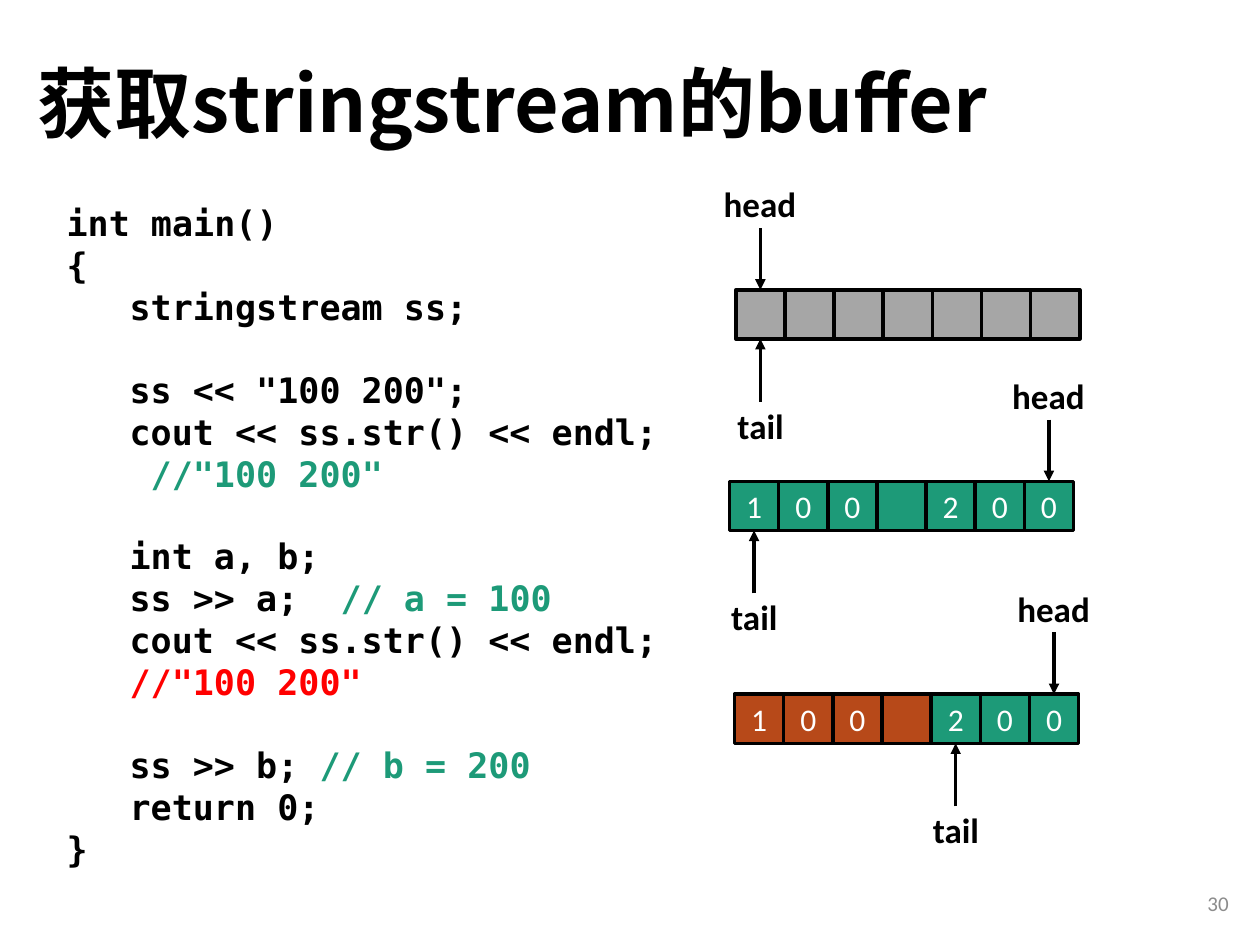
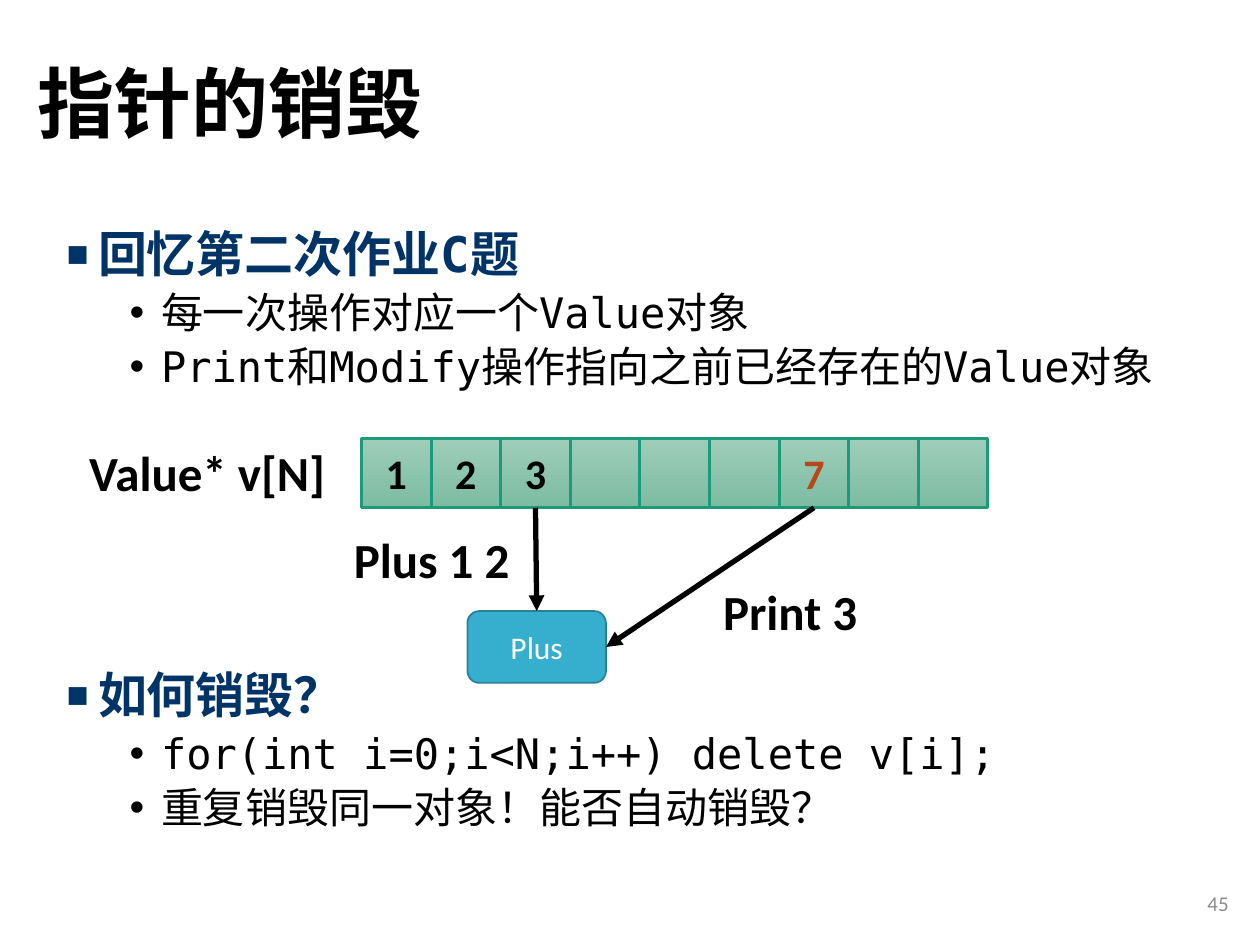
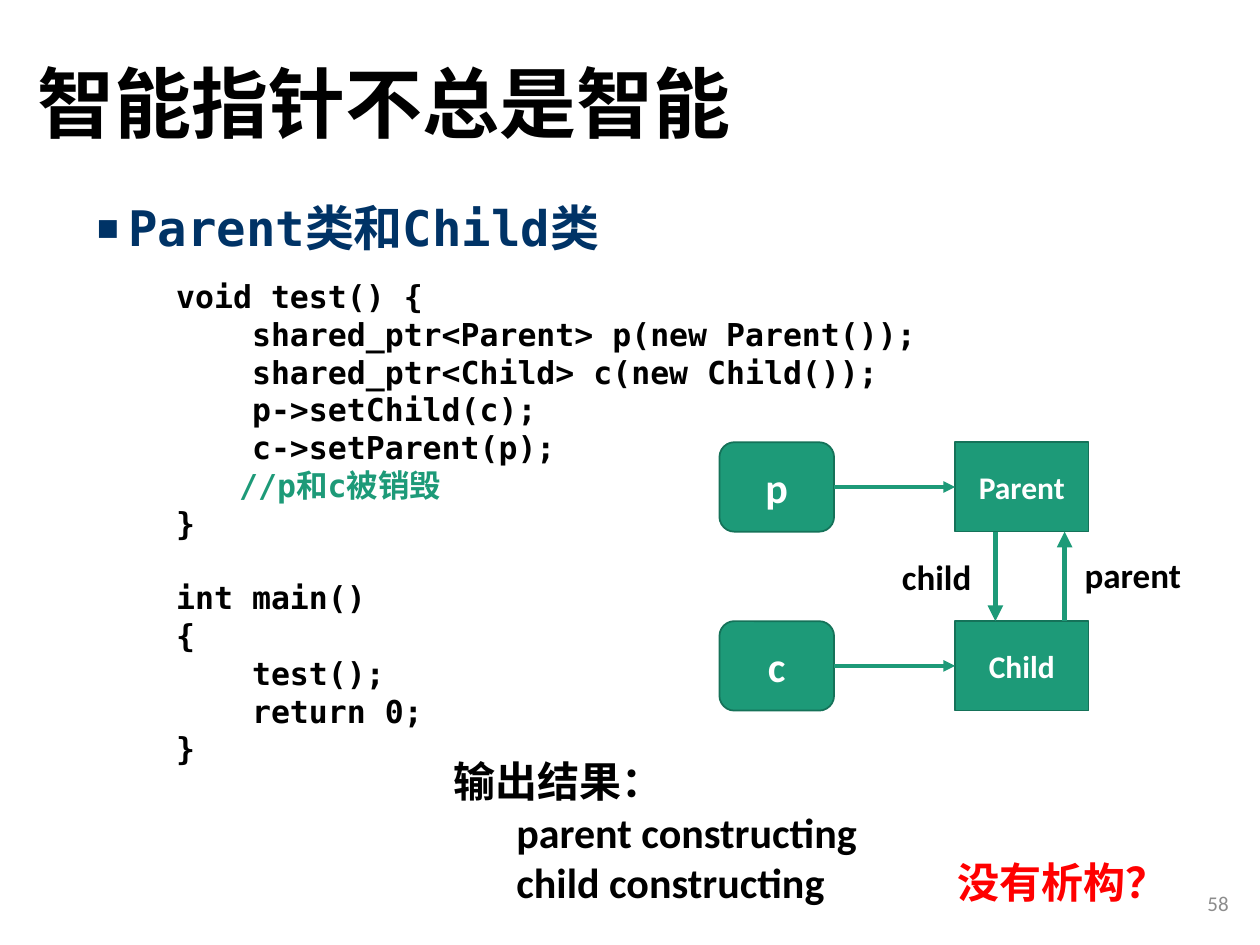
"""Builds three C++ lecture slides on stream buffers and pointers."""
from lxml.etree import SubElement
from pptx import Presentation
from pptx.dml.color import RGBColor
from pptx.enum.lang import MSO_LANGUAGE_ID
from pptx.enum.shapes import MSO_CONNECTOR, MSO_SHAPE
from pptx.enum.text import MSO_ANCHOR, MSO_AUTO_SIZE, PP_ALIGN
from pptx.oxml.ns import qn
from pptx.util import Inches, Pt

RECT, ROUND = MSO_SHAPE.RECTANGLE, MSO_SHAPE.ROUNDED_RECTANGLE
STRAIGHT = MSO_CONNECTOR.STRAIGHT
LEFT, MID, RIGHT = PP_ALIGN.LEFT, PP_ALIGN.CENTER, PP_ALIGN.RIGHT
TOP, CENTER = MSO_ANCHOR.TOP, MSO_ANCHOR.MIDDLE
CHINESE = MSO_LANGUAGE_ID.SIMPLIFIED_CHINESE
NORTH, WEST, SOUTH, EAST = range(4)

HEX = {"black": "000000", "white": "FFFFFF", "gray": "A6A6A6", "page": "8C8C8C",
       "green": "1D9A78", "edge": "157259", "rust": "B74919", "red": "FF0000",
       "navy": "003366", "sky": "36AFCE", "rim": "288198",
       "pale": "9ECDBA", "mint": "7DBCA3"}
SANS, MONO, HAN = "Calibri", "DejaVu Sans Mono", "Noto Sans CJK SC"

STREAM = [
    "int main()", "{", "\tstringstream ss;", "",
    '\tss << "100 200";', "\tcout << ss.str() << endl;",
    ("\t ", '//"100 200"', "green"), "",
    "\tint a, b;", ("\tss >> a;  ", "// a = 100", "green"),
    "\tcout << ss.str() << endl;", ("\t", '//"100 200"', "red"), "",
    ("\tss >> b; ", "// b = 200", "green"), "\treturn 0;", "}"]
BUFFERS = [
    (5.84, 2.3, [""] * 7, ["gray"] * 7, 0, 0),
    (5.79, 3.82, [*"100", "", *"200"], ["green"] * 7, 6, 0),
    (5.83, 5.51, [*"100", "", *"200"], ["rust"] * 4 + ["green"] * 3, 6, 4)]
RECALL = [
    (0, "回忆第二次作业C题", 0),
    (1, "每一次操作对应一个Value对象", 5),
    (1, "Print和Modify操作指向之前已经存在的Value对象", 5),
    (0, "如何销毁？", 160),
    (1, "for(int i=0;i<N;i++) delete v[i];", 5),
    (1, "重复销毁同一对象！能否自动销毁？", 5)]
VALUES = ["1", "2", "3", "", "", "", "7", "", ""]
NOTES = [("Value* v[N]", 0.61, 3.46, 2.1), ("Print 3", 5.64, 4.57, 1.28),
         ("Plus 1 2", 2.71, 4.15, 1.45)]
CYCLE = [
    "void test() {", "    shared_ptr<Parent> p(new Parent());",
    "    shared_ptr<Child> c(new Child());", "    p->setChild(c);",
    "    c->setParent(p);", ("\t", "//p和c被销毁", "green"), "}", "",
    "int main()", "{", "    test();", "    return 0;", "}"]
OUTPUT = ["输出结果：", "\tparent constructing",
          ("\tchild constructing\t", "没有析构？", "red")]
OWNERS = [("p", "Parent", 3.51), ("c", "Child", 4.93)]


def rgb(name):
    return RGBColor.from_string(HEX[name])


def box(at):
    return [Inches(n) for n in at]


def write(shape, lines, size=18, font=SANS, color="black", bold=False, align=LEFT,
          anchor=TOP, wrap=True, tabs=(), space=None, bullet=None):
    """Fills a shape with lines; an empty line becomes space before the next."""
    frame = shape.text_frame
    frame.word_wrap, frame.vertical_anchor = wrap, anchor
    frame.auto_size = MSO_AUTO_SIZE.NONE
    lines = [lines] if isinstance(lines, str) else lines
    for i, line in enumerate(lines):
        if not line:
            continue
        first = not frame.paragraphs[0].runs
        para = frame.paragraphs[0] if first else frame.add_paragraph()
        para.alignment = align
        if space:
            para.line_spacing = space
        if i and not lines[i - 1]:
            para.space_before = Pt(round(size * 1.16, 1))
        props = para._p.get_or_add_pPr()
        if tabs:
            stops = SubElement(props, qn("a:tabLst"))
            for stop in tabs:
                SubElement(stops, qn("a:tab"), pos=str(Inches(stop)), algn="l")
        if bullet:
            bullet(para, props, i)
        text, note, tint = (line, "", color) if isinstance(line, str) else line
        for part, hue in ((text, color), (note, tint)):
            if part:
                style(para, part, size, font, hue, bold)
    return shape


def style(para, text, size, font, color, bold):
    run = para.add_run()
    run.text = text
    face = run.font
    face.size, face.name, face.bold = Pt(size), font, bold
    face.color.rgb, face.language_id = rgb(color), CHINESE


def label(slide, text, *at, **form):
    return write(slide.shapes.add_textbox(*box(at)), text, **form)


def block(slide, kind, at, fill, edge, width, text="", **form):
    shape = slide.shapes.add_shape(kind, *box(at))
    shape.shadow.inherit = False
    if isinstance(fill, tuple):
        shape.fill.gradient()
        shape.fill.gradient_angle = 270
        for stop, name in zip(shape.fill.gradient_stops, fill):
            stop.color.rgb = rgb(name)
    else:
        shape.fill.solid()
        shape.fill.fore_color.rgb = rgb(fill)
    shape.line.color.rgb, shape.line.width = rgb(edge), Pt(width)
    form = {"color": "white", **form}
    return write(shape, text, align=MID, anchor=CENTER, **form)


def arrow(slide, start, end, color="black", width=2):
    """Draws an arrow between points or (shape, side) pairs."""
    ends = [(0, 0) if hasattr(e[0], "text_frame") else e for e in (start, end)]
    line = slide.shapes.add_connector(STRAIGHT, *box(ends[0] + ends[1]))
    for spot, join in ((start, line.begin_connect), (end, line.end_connect)):
        if hasattr(spot[0], "text_frame"):
            join(*spot)
    line.line.color.rgb, line.line.width = rgb(color), Pt(width)
    props = line._element.spPr
    SubElement(props.find(qn("a:ln")), qn("a:tailEnd"), type="triangle")
    SubElement(props, qn("a:effectLst"))


def outline(slide, items, *at):
    """Writes a two-level bulleted list of (level, text, space before)."""
    def mark(para, props, i):
        level, _, gap = items[i]
        para.line_spacing, para.space_before = 0.9, Pt(gap)
        props.set("marL", str(Inches(0.25 + level / 2)))
        props.set("indent", str(-Inches(0.25)))
        if not level:
            SubElement(props, qn("a:buSzPct"), val="75000")
        SubElement(props, qn("a:buFont"), typeface="Arial")
        SubElement(props, qn("a:buChar"), char="•" if level else "■")

    shape = label(slide, [text for _, text, _ in items], *at,
                  size=24, font=MONO, bullet=mark)
    for para, (level, _, _) in zip(shape.text_frame.paragraphs, items):
        if not level:
            face = para.runs[0].font
            face.size, face.bold, face.color.rgb = Pt(28), True, rgb("navy")


def page(deck, title, number):
    slide = deck.slides.add_slide(deck.slide_layouts[5])
    head = slide.shapes.title
    head.left, head.top, head.width, head.height = box((0.2, 0.13, 8.62, 1.45))
    write(head, title, size=44, font=HAN, bold=True, anchor=CENTER, space=0.9)
    label(slide, str(number), 7.6, 6.97, 2.25, 0.4, size=12, color="page",
          align=RIGHT, anchor=CENTER)
    return slide


def stream(deck):
    slide = page(deck, "获取stringstream的buffer", 30)
    label(slide, STREAM, 0.43, 1.55, 7.09, 5.49, size=20, font=MONO, bold=True,
          tabs=[0.5])
    side = 0.39
    for left, top, marks, fills, head, tail in BUFFERS:
        cells = [block(slide, RECT, (left + i * side, top, side, side), fill,
                       "black", 2, mark)
                 for i, (mark, fill) in enumerate(zip(marks, fills))]
        for word, at, spot, shift, wide, reach, edge in (
                ("head", head, -0.9, 0.39, 0.78, -0.49, NORTH),
                ("tail", tail, 0.86, 0.28, 0.57, side + 0.5, SOUTH)):
            x = left + (at + 0.5) * side
            arrow(slide, (x, top + reach), (cells[at], edge))
            label(slide, word, x - shift, top + spot, wide, 0.44, size=20,
                  bold=True, wrap=False)


def destroy(deck):
    slide = page(deck, "指针的销毁", 45)
    outline(slide, RECALL, 0.43, 1.78, 9.04, 5.59)
    side = 0.55
    cells = [block(slide, RECT, (2.87 + i * 0.5525, 3.48, side, side),
                   ("pale", "mint"), "green", 1.5, mark, size=24, bold=True,
                   color="rust" if mark == "7" else "black")
             for i, mark in enumerate(VALUES)]
    plus = block(slide, ROUND, (3.71, 4.85, 1.1, 0.57), "sky", "rim", 1, "Plus")
    arrow(slide, (cells[2], SOUTH), (plus, NORTH), width=3)
    arrow(slide, (cells[6], SOUTH), (plus, EAST), width=3)
    for text, left, top, wide in NOTES:
        label(slide, text, left, top, wide, 0.57, size=28, bold=True, wrap=False)


def cycle(deck):
    slide = page(deck, "智能指针不总是智能", 58)
    outline(slide, [(0, "Parent类和Child类", 0)], 0.67, 1.57, 8.8, 0.6)
    label(slide, CYCLE, 1.3, 2.15, 7.01, 4.04, font=MONO, bold=True, tabs=[0.5])
    label(slide, OUTPUT, 3.5, 5.95, 5.92, 1.31, size=24, bold=True, tabs=[0.5, 4])
    for name, kind, top in OWNERS:
        owner = block(slide, ROUND, (5.71, top, 0.91, 0.71), "green", "edge", 1,
                      name, size=24, bold=True)
        item = block(slide, RECT, (7.58, top, 1.06, 0.71), "green", "edge", 1,
                     kind, bold=True)
        arrow(slide, (owner, EAST), (item, WEST), "green", 2.25)
    arrow(slide, (7.9, 4.22), (7.9, 4.93), "green", 3)
    arrow(slide, (8.45, 4.93), (8.45, 4.22), "green", 3)
    for word, left, top, wide in (("parent", 8.51, 4.34, 0.97),
                                  ("child", 7.06, 4.36, 0.76)):
        label(slide, word, left, top, wide, 0.44, size=20, bold=True, wrap=False)


def main():
    deck = Presentation()
    deck.slide_width, deck.slide_height = Inches(10), Inches(7.5)
    for build in (stream, destroy, cycle):
        build(deck)
    deck.save("out.pptx")


if __name__ == "__main__":
    main()
